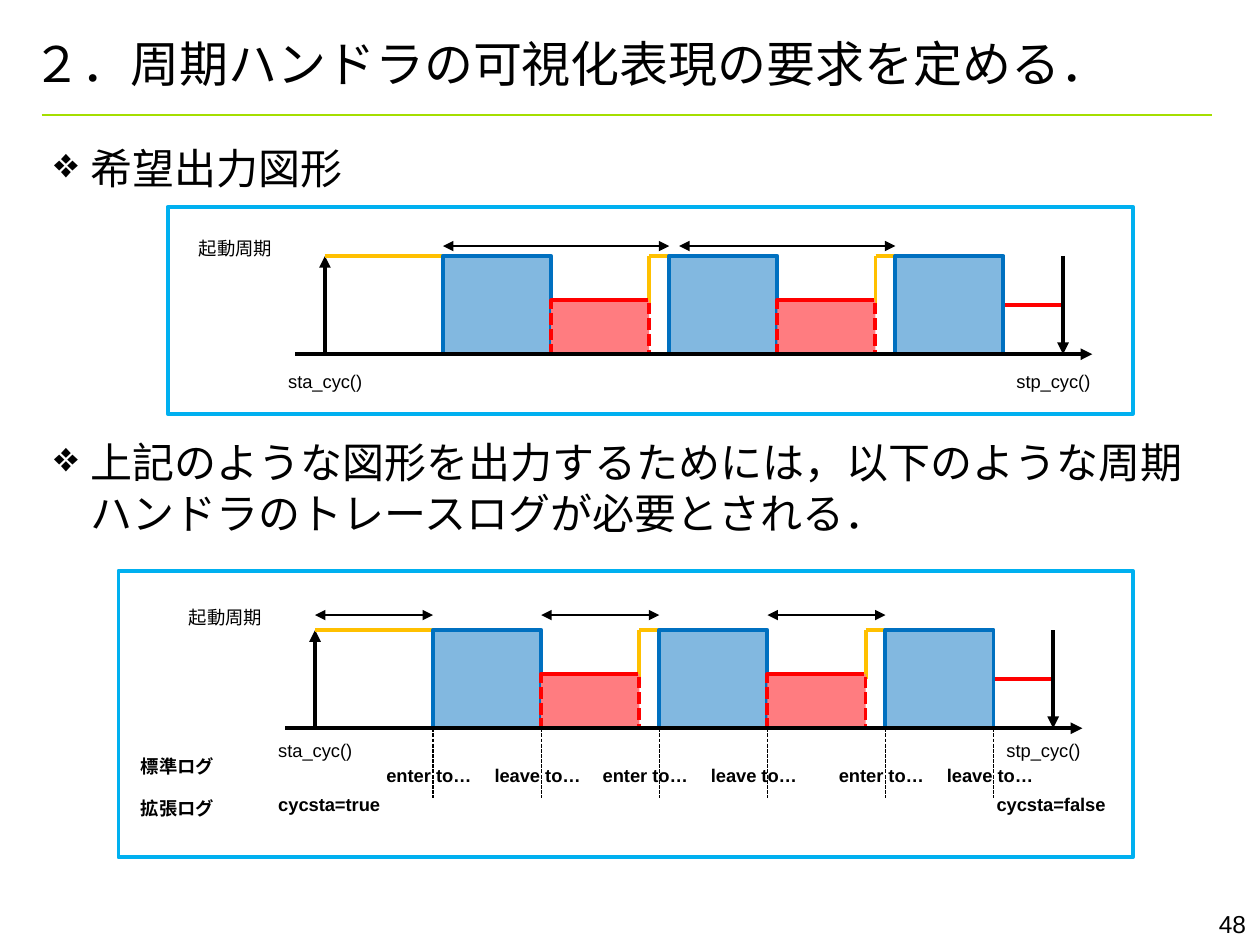
from lxml import etree
from pptx import Presentation
from pptx.dml.color import RGBColor
from pptx.enum.dml import MSO_LINE_DASH_STYLE as Dash
from pptx.enum.shapes import MSO_CONNECTOR as Connector, MSO_SHAPE as Preset
from pptx.enum.text import MSO_ANCHOR as Anchor, PP_ALIGN as Align
from pptx.oxml.ns import qn
from pptx.util import Cm, Pt

COLORS = {
    "black": "000000", "green": "A4DE00", "frame": "00B0F0", "run": "0070C0",
    "wait": "FFC000", "stop": "FF0000", "stop_fill": "FF7C80",
}
LATIN, JAPANESE = "Arial", "Noto Sans CJK JP"

# Geometry of one timing diagram in cm, measured from the start event
FIRST, PITCH = 2.38, 4.56
RUN_WIDTH, HEIGHT = 2.18, 1.98
STOP_WIDTH, STOP_HEIGHT = 1.98, 1.09
END = 14.88
RUNS = [FIRST + PITCH * i for i in range(3)]


def color(name):
    return RGBColor.from_string(COLORS[name])


def add_line(page, start, end, shade="black", weight=2.25, dash=None, head=False, tail=False):
    line = page.shapes.add_connector(Connector.STRAIGHT, *map(Cm, start + end))
    line.line.color.rgb = color(shade)
    line.line.width = Pt(weight)
    if dash:
        line.line.dash_style = dash
    for tag, wanted in (("a:headEnd", head), ("a:tailEnd", tail)):
        if wanted:
            etree.SubElement(line.line._get_or_add_ln(), qn(tag), type="triangle")
    etree.SubElement(line._element.spPr, qn("a:effectLst"))


def add_box(page, left, top, width, height, outline, fill=None, opacity=None, dash=None):
    box = page.shapes.add_shape(Preset.RECTANGLE, *map(Cm, (left, top, width, height)))
    box.shadow.inherit = False
    box.line.color.rgb = color(outline)
    box.line.width = Pt(2.25)
    if dash:
        box.line.dash_style = dash
    if fill is None:
        box.fill.background()
        return
    box.fill.solid()
    box.fill.fore_color.rgb = color(fill)
    if opacity:
        shade = box._element.spPr.find(qn("a:solidFill"))[0]
        etree.SubElement(shade, qn("a:alpha"), val=str(opacity * 1000))


def add_text(page, text, left, top, width=2.18, height=0.69, size=10.5, font=LATIN,
             bold=False, align=Align.LEFT, anchor=Anchor.TOP, hanging=0, bullet=None, before=0):
    box = page.shapes.add_textbox(*map(Cm, (left, top, width, height)))
    frame = box.text_frame
    frame.word_wrap = True
    frame.vertical_anchor = anchor
    para = frame.paragraphs[0]
    para.alignment = align
    para.space_before = Pt(before)
    if hanging:
        props = para._p.get_or_add_pPr()
        props.set("marL", str(Cm(hanging)))
        props.set("indent", str(-Cm(hanging)))
        if bullet:
            etree.SubElement(props, qn("a:buChar"), char=bullet)
    span = para.add_run()
    span.text = text
    span.font.name = font
    span.font.size = Pt(size)
    span.font.bold = bold
    span.font.color.rgb = color("black")
    etree.SubElement(span._r.get_or_add_rPr(), qn("a:ea"), typeface=JAPANESE)


def add_bullet(page, text, top, height):
    add_text(page, text, 0.84, top, 23.5, height, size=24, font=JAPANESE,
             hanging=0.74, bullet="❖", before=4.8)


def add_diagram(page, left, top, periods, period_rise, label_drop):
    """Draw the cyclic handler's timing with its start event at (left, top)."""
    base = top + HEIGHT
    stop_top = base - STOP_HEIGHT

    for start, end in periods:
        y = top - period_rise
        add_line(page, (left + start, y), (left + end, y), weight=0.75, head=True, tail=True)
    add_text(page, "起動周期", left - 2.79, top - period_rise - 0.31)
    add_text(page, "sta_cyc()", left - 0.99, top + label_drop)
    add_text(page, "stp_cyc()", left + END - 1.19, top + label_drop)

    add_line(page, (left, base), (left, top), tail=True)
    add_line(page, (left, top), (left + FIRST, top), "wait")
    add_line(page, (left + RUNS[-1] + RUN_WIDTH, top + 0.99), (left + END, top + 0.99), "stop")
    add_line(page, (left + END, top), (left + END, base), tail=True)

    for run, following in zip(RUNS, RUNS[1:]):
        resume = left + run + RUN_WIDTH + STOP_WIDTH
        add_line(page, (resume, top + 0.99), (resume, top), "wait")
        add_line(page, (resume, top), (left + following, top), "wait")
    for run in RUNS:
        add_box(page, left + run, top, RUN_WIDTH, HEIGHT, "run", "run", opacity=49)
    for run in RUNS[:-1]:
        x = left + run + RUN_WIDTH
        add_box(page, x, stop_top, STOP_WIDTH, STOP_HEIGHT, "stop", "stop_fill",
                dash=Dash.SQUARE_DOT)
        add_line(page, (x, stop_top), (x + 1.93, stop_top), "stop")
    add_line(page, (left - 0.6, base), (left + END + 0.59, base), tail=True)


def add_logs(page, left, base):
    """Add the log rows under a diagram and the guides from its handler edges."""
    for run in RUNS:
        for x in (left + run, left + run + RUN_WIDTH):
            add_line(page, (x, base), (x, base + 1.4), weight=0.75, dash=Dash.SQUARE_DOT)
    for x in (1.19, 5.55, 10.31):
        add_text(page, "enter to…", left + x, base + 0.61, 2.6, bold=True)
        add_text(page, "leave to…", left + x + RUN_WIDTH, base + 0.61, 2.6, bold=True)
    add_text(page, "標準ログ", 2.59, base + 0.41, 3.38, bold=True)
    add_text(page, "拡張ログ", 2.59, base + 1.27, 3.38, bold=True)
    add_text(page, "cycsta=true", left - 0.99, base + 1.19, 2.9, bold=True)
    add_text(page, "cycsta=false", left + 13.49, base + 1.19, 2.9, bold=True)


def main():
    deck = Presentation()
    deck.slide_width, deck.slide_height = Cm(25.4), Cm(19.05)
    page = deck.slides.add_slide(deck.slide_layouts[6])

    add_line(page, (0.84, 2.32), (24.43, 2.32), "green", 1.5)
    add_text(page, "48", 23.06, 18.21, 2.31, 0.84, size=14, align=Align.RIGHT)
    add_text(page, "２．周期ハンドラの可視化表現の要求を定める．", 0.41, 0.64, 24.41, 1.27,
             size=28, font=JAPANESE, anchor=Anchor.MIDDLE, hanging=1.27)
    add_bullet(page, "希望出力図形", 2.74, 1.3)
    add_bullet(page, "上記のような図形を出力するためには，以下のような周期"
                     "ハンドラのトレースログが必要とされる．", 8.68, 2.4)

    add_diagram(page, 6.55, 5.16, [(2.38, 6.94), (7.14, 11.5)], 0.2, 2.18)
    add_logs(page, 6.35, 14.68)
    add_diagram(page, 6.35, 12.7, [(0, 2.38), (4.56, 6.94), (9.12, 11.5)], 0.3, 2.08)

    add_box(page, 3.38, 4.17, 19.46, 4.17, "frame")
    add_box(page, 2.39, 11.51, 20.45, 5.77, "frame")
    deck.save("out.pptx")


if __name__ == "__main__":
    main()
